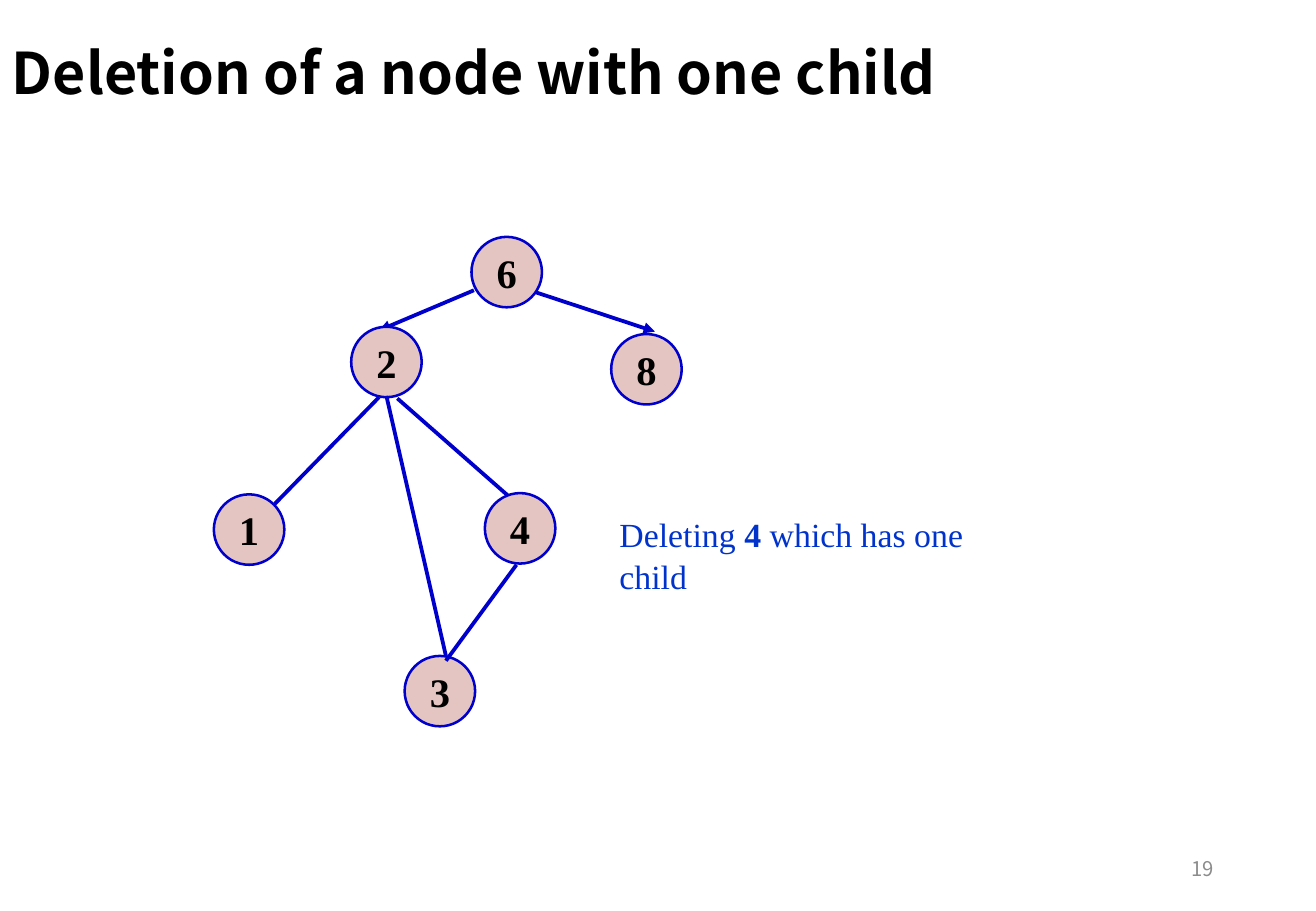
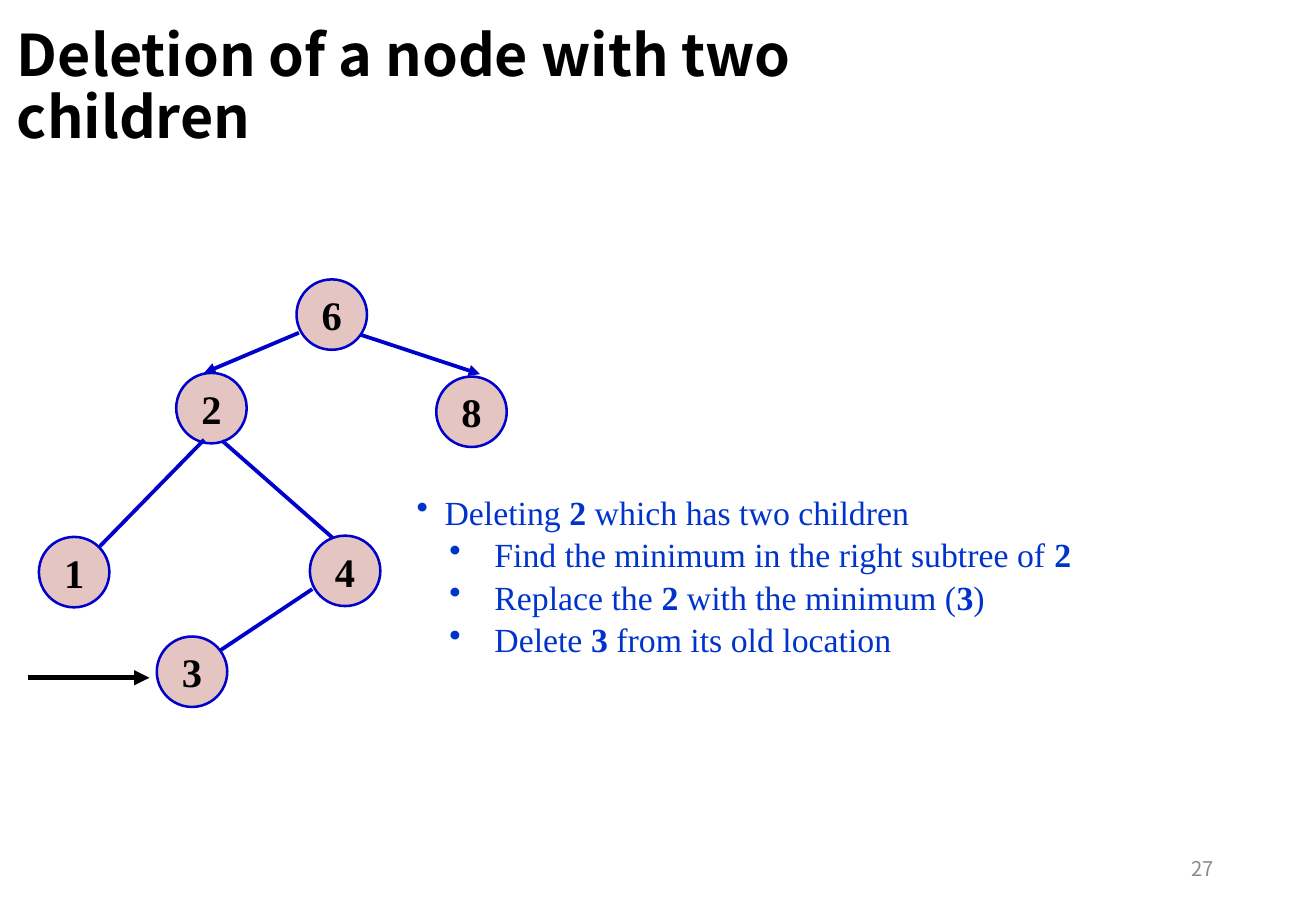
import pptx
import pptx.util
import pptx.dml.color
import pptx.enum.shapes
import pptx.enum.text
import pptx.oxml.ns
import lxml.etree

CELL = pptx.util.Inches(1)
COLUMNS, ROWS = 10.83, 7.5
NODE_SIZE = 0.58
HEADING_FONT = "Noto Sans CJK SC"
BODY_FONT = "Times New Roman"
BLACK, GREY, LINK_BLUE, TEXT_BLUE, NODE_PINK = "000000", "8C8C8C", "0000CC", "0033CC", "E4C5C2"
LEFT, CENTER, RIGHT = (
    pptx.enum.text.PP_ALIGN.LEFT,
    pptx.enum.text.PP_ALIGN.CENTER,
    pptx.enum.text.PP_ALIGN.RIGHT,
)

TREE_NODES = {"8": (3.28, 0.8), "1": (0.01, 2.12), "4": (2.24, 2.11), "6": (2.13, 0)}
TREE_ARROWS = [((2.15, 0.44), (1.37, 0.77)), ((2.64, 0.45), (3.64, 0.78))]
TREE_LINKS = [((2.43, 2.13), (1.52, 1.33)), ((0.51, 2.2), (1.37, 1.32))]
LEVELS = [(0.23, 0.23), (0.64, 0.37)]


def cells(*counts):
    return [round(count * CELL) for count in counts]


def color(value):
    return pptx.dml.color.RGBColor.from_string(value)


def child(parent, tag, **attributes):
    return lxml.etree.SubElement(parent, pptx.oxml.ns.qn(tag), **attributes)


def add_span(para, text, font, size, shade, bold):
    span = para.add_run()
    span.text = text
    span.font.name = font
    span.font.size = pptx.util.Pt(size)
    span.font.bold = bold
    span.font.color.rgb = color(shade)


def add_box(page, area, anchor=pptx.enum.text.MSO_ANCHOR.MIDDLE):
    frame = page.shapes.add_textbox(*cells(*area)).text_frame
    frame.word_wrap = True
    frame.vertical_anchor = anchor
    return frame


def add_label(page, area, text, size, shade, bold, align, spacing):
    para = add_box(page, area).paragraphs[0]
    para.alignment = align
    para.line_spacing = spacing
    add_span(para, text, HEADING_FONT, size, shade, bold)


def add_page(deck, title, title_at, number):
    page = deck.slides.add_slide(deck.slide_layouts[6])
    add_label(page, (7.65, 6.95, 2.44, 0.4), number, 12, GREY, False, RIGHT, 1.0)
    add_label(page, (*title_at, 7.92, 1.25), title, 34, BLACK, True, LEFT, 0.9)
    return page


def add_line(page, start, end, shade=LINK_BLUE, weight=2.25, arrow=False):
    line = page.shapes.add_connector(
        pptx.enum.shapes.MSO_CONNECTOR.STRAIGHT, *cells(*start, *end))
    line.line.color.rgb = color(shade)
    line.line.width = pptx.util.Pt(weight)
    if arrow:
        child(line.line._get_or_add_ln(), "a:tailEnd", type="triangle")
    child(line._element.spPr, "a:effectLst")


def add_node(page, left, top, key):
    node = page.shapes.add_shape(
        pptx.enum.shapes.MSO_SHAPE.OVAL, *cells(left, top, NODE_SIZE, NODE_SIZE))
    node.shadow.inherit = False
    node.fill.solid()
    node.fill.fore_color.rgb = color(NODE_PINK)
    node.line.color.rgb = color(LINK_BLUE)
    node.line.width = pptx.util.Pt(1.5)
    frame = node.text_frame
    frame.word_wrap = False
    frame.vertical_anchor = pptx.enum.text.MSO_ANCHOR.MIDDLE
    para = frame.paragraphs[0]
    para.alignment = CENTER
    add_span(para, key, BODY_FONT, 24, BLACK, True)


def add_tree(page, left, top, extra_nodes, extra_links):
    def place(point):
        return left + point[0], top + point[1]

    for start, end in TREE_ARROWS:
        add_line(page, place(start), place(end), arrow=True)
    for key, corner in {**TREE_NODES, **extra_nodes}.items():
        add_node(page, *place(corner), key)
    for start, end in TREE_LINKS + extra_links:
        add_line(page, place(start), place(end))


def add_notes_text(page, area, lines):
    frame = add_box(page, area, pptx.enum.text.MSO_ANCHOR.TOP)
    for index, (level, texts) in enumerate(lines):
        para = frame.add_paragraph() if index else frame.paragraphs[0]
        if level is not None:
            margin, hanging = cells(*LEVELS[level])
            properties = para._p.get_or_add_pPr()
            properties.set("marL", str(margin))
            properties.set("indent", str(-hanging))
            child(properties, "a:buChar", char="•")
            para.level = level
        para.line_spacing = 1.05
        for position, text in enumerate(texts):
            add_span(para, text, BODY_FONT, 20, TEXT_BLUE, position % 2 == 1)


def build_one_child(deck):
    page = add_page(deck, "Deletion of a node with one child", (0, 0), "19")
    add_tree(
        page, 1.75, 1.95,
        {"2": (1.14, 0.74), "3": (1.58, 3.45)},
        [((1.92, 3.49), (2.5, 2.7)), ((1.92, 3.45), (1.43, 1.31))])
    add_notes_text(page, (5, 4.16, 3.5, 0.75), [
        (None, ["Deleting ", "4", " which has one child"]),
    ])


def build_two_children(deck):
    page = add_page(deck, "Deletion of a node with two children", (0.04, 0.11), "27")
    add_tree(
        page, 0.31, 2.3,
        {"2": (1.14, 0.77), "3": (0.98, 2.94)},
        [((1.51, 3.05), (2.26, 2.55))])
    add_notes_text(page, (3.33, 3.98, 5.72, 1.78), [
        (0, ["Deleting ", "2", " which has two children"]),
        (1, ["Find the minimum in the right subtree of ", "2"]),
        (1, ["Replace the ", "2 ", "with the minimum (", "3", ")"]),
        (1, ["Delete ", "3", " from its old location"]),
    ])
    add_line(page, (0.23, 5.58), (1.23, 5.58), BLACK, 3, True)


def main():
    deck = pptx.Presentation()
    deck.slide_width, deck.slide_height = cells(COLUMNS, ROWS)
    build_one_child(deck)
    build_two_children(deck)
    deck.save("out.pptx")


if __name__ == "__main__":
    main()
